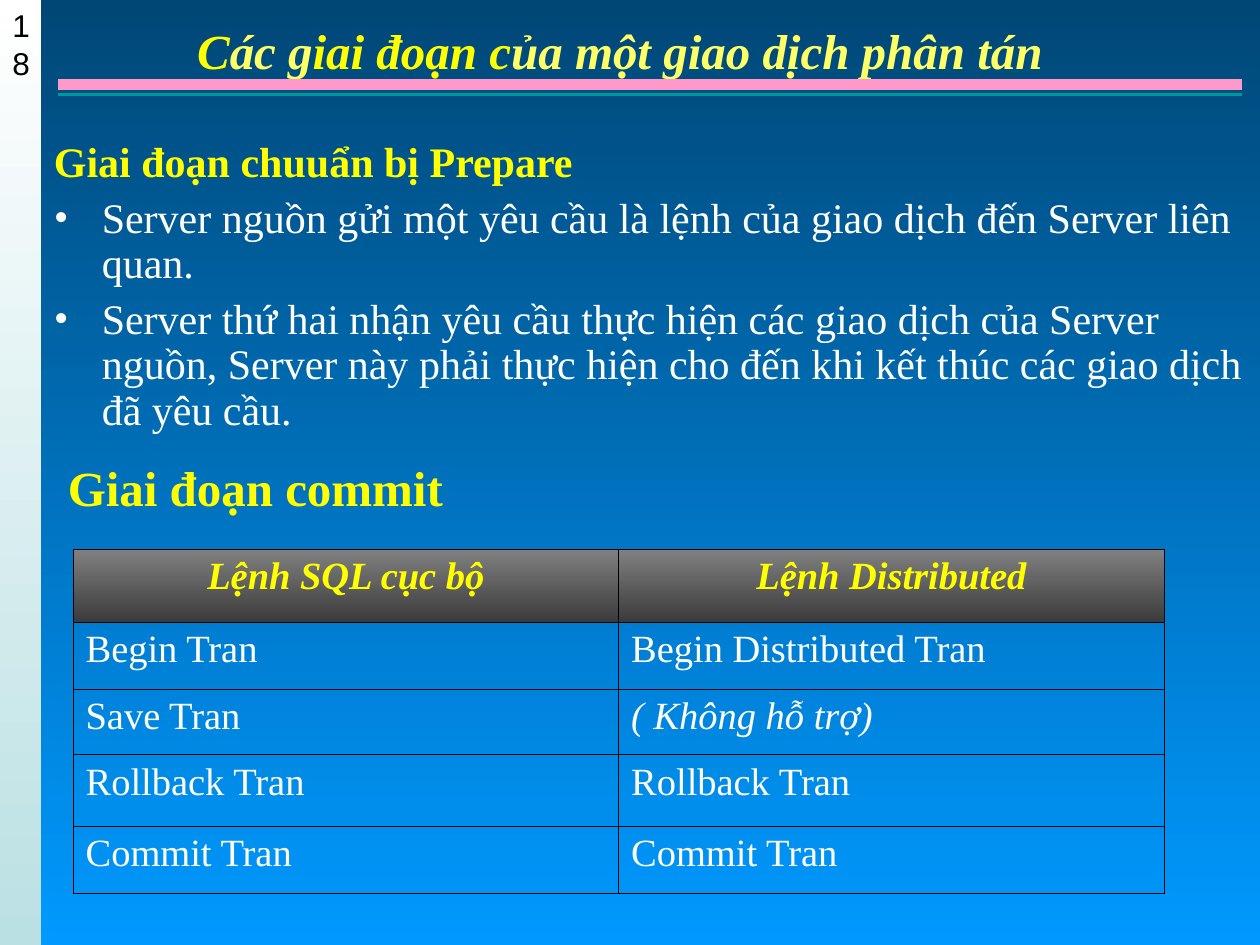
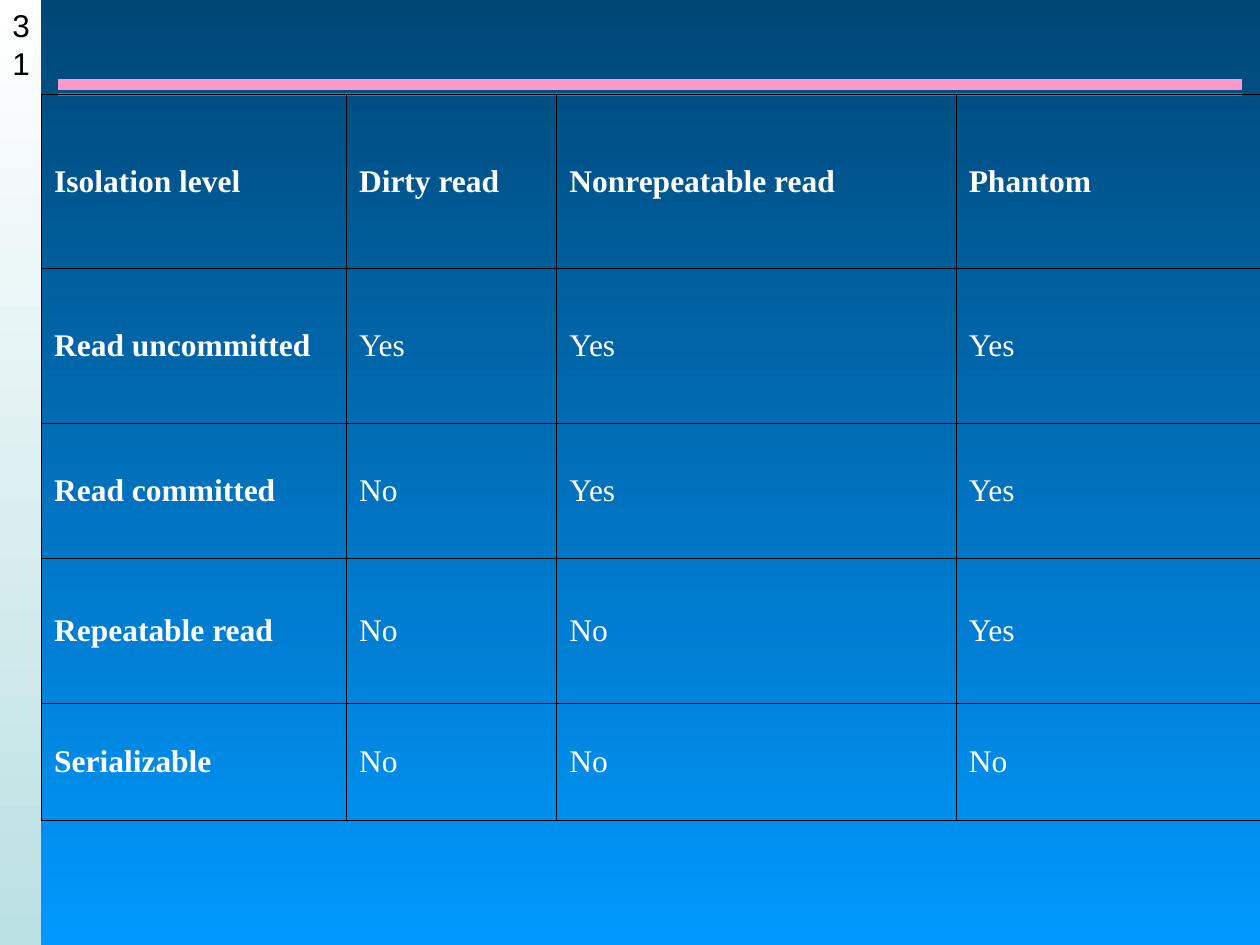
import lxml.etree
import pptx
import pptx.dml.color
import pptx.enum.shapes
import pptx.enum.text
import pptx.oxml.ns
import pptx.util

Inches = pptx.util.Inches
Pt = pptx.util.Pt
qn = pptx.oxml.ns.qn
ALIGN = pptx.enum.text.PP_ALIGN
ANCHOR = pptx.enum.text.MSO_ANCHOR

SERIF = "Times New Roman"
WHITE, BLACK = "FFFFFF", "000000"
YELLOW, PALE_YELLOW = "FFFF00", "FFFF66"
TEAL, PINK = "009999", "FF99CC"
BACKGROUND = ("004776", "0099FF")
STRIP = ("FFFFFF", "BBE0E3")
HEADER = ("808080", "3B3B3B")
TITLE_ONLY, BLANK = 5, 6


def rgb(color):
    return pptx.dml.color.RGBColor.from_string(color)


def set_font(font, size, color, bold=False, italic=False, name=SERIF):
    font.name, font.size = name, Pt(size)
    font.bold, font.italic = bold, italic
    font.color.rgb = rgb(color)


def fill_downward(fill, colors):
    """Fill with a gradient from the first colour at the top to the second."""
    fill.gradient()
    fill.gradient_angle = 270
    for stop, color in zip(fill.gradient_stops, colors):
        stop.color.rgb = rgb(color)


def add_rule(slide, y, color, width):
    rule = slide.shapes.add_connector(
        pptx.enum.shapes.MSO_CONNECTOR.STRAIGHT,
        Inches(0.46), Inches(y), Inches(9.86), Inches(y))
    rule.line.color.rgb = rgb(color)
    rule.line.width = Pt(width)
    lxml.etree.SubElement(rule._element.spPr, qn("a:effectLst"))


def add_number_strip(slide, number):
    strip = slide.shapes.add_shape(
        pptx.enum.shapes.MSO_SHAPE.RECTANGLE, 0, 0, Inches(0.33), Inches(7.5))
    strip.shadow.inherit = False
    strip.line.fill.background()
    fill_downward(strip.fill, STRIP)
    frame = strip.text_frame
    frame.word_wrap = True
    frame.vertical_anchor = ANCHOR.TOP
    paragraph = frame.paragraphs[0]
    paragraph.text = str(number)
    paragraph.alignment = ALIGN.LEFT
    set_font(paragraph.font, 18, BLACK, name="Arial")


def add_slide(presentation, layout, number):
    slide = presentation.slides.add_slide(presentation.slide_layouts[layout])
    add_number_strip(slide, number)
    add_rule(slide, 0.75, TEAL, 2)
    add_rule(slide, 0.67, PINK, 6)
    return slide


def set_title(slide, pieces):
    title = slide.shapes.title
    title.left, title.top = Inches(0.42), 0
    title.width, title.height = Inches(9), Inches(0.79)
    title.text_frame.vertical_anchor = ANCHOR.MIDDLE
    paragraph = title.text_frame.paragraphs[0]
    paragraph.alignment = ALIGN.CENTER
    for text, color in pieces:
        run = paragraph.add_run()
        run.text = text
        set_font(run.font, 28, color, bold=True, italic=True)


def add_text_box(slide, left, top, width, height):
    box = slide.shapes.add_textbox(
        Inches(left), Inches(top), Inches(width), Inches(height))
    box.text_frame.word_wrap = True
    return box.text_frame


def set_heading(paragraph, text, size):
    paragraph.text = text
    set_font(paragraph.font, size, YELLOW, bold=True)


def add_bullet(frame, text):
    paragraph = frame.add_paragraph()
    paragraph.text = text
    paragraph.line_spacing = 0.9
    paragraph.space_before = Pt(6)
    properties = paragraph._p.get_or_add_pPr()
    properties.set("marL", str(Inches(0.38)))
    properties.set("indent", str(-Inches(0.38)))
    lxml.etree.SubElement(properties, qn("a:buFont"), typeface=SERIF)
    lxml.etree.SubElement(properties, qn("a:buChar"), char="•")
    set_font(paragraph.font, 24, WHITE)


def set_borders(cell):
    properties = cell._tc.get_or_add_tcPr()
    for side in "LRTB":
        line = lxml.etree.SubElement(
            properties, qn(f"a:ln{side}"), w=str(Pt(0.45)))
        fill = lxml.etree.SubElement(line, qn("a:solidFill"))
        lxml.etree.SubElement(fill, qn("a:srgbClr"), val=BLACK)


def add_table(slide, left, top, widths, heights, rows, style_cell):
    """Add a clear table; style_cell(cell, row, column) formats each cell."""
    table = slide.shapes.add_table(
        len(heights), len(widths), Inches(left), Inches(top),
        Inches(sum(widths)), Inches(sum(heights))).table
    table.first_row = table.horz_banding = False
    for column, width in zip(table.columns, widths):
        column.width = Inches(width)
    for row, height in zip(table.rows, heights):
        row.height = Inches(height)
    for i, texts in enumerate(rows):
        for j, text in enumerate(texts):
            cell = table.cell(i, j)
            set_borders(cell)
            cell.fill.background()
            cell.text = text
            style_cell(cell, i, j)


def style_command(cell, row, column):
    paragraph = cell.text_frame.paragraphs[0]
    if row == 0:
        fill_downward(cell.fill, HEADER)
        paragraph.alignment = ALIGN.CENTER
        set_font(paragraph.font, 22, YELLOW, bold=True, italic=True)
    else:
        unsupported = cell.text.startswith("(")
        set_font(paragraph.font, 22, WHITE, italic=unsupported)


def style_isolation(cell, row, column):
    cell.vertical_anchor = ANCHOR.MIDDLE
    set_font(cell.text_frame.paragraphs[0].font, 18, WHITE,
             bold=row == 0 or column == 0)


def build_phases_slide(presentation):
    slide = add_slide(presentation, TITLE_ONLY, 18)
    set_title(slide, [
        ("C", YELLOW), ("ác g", PALE_YELLOW), ("iai đoạn c", YELLOW),
        ("ủa một giao dịch phân tán", PALE_YELLOW)])

    prepare = add_text_box(slide, 0.33, 0.83, 9.83, 2.75)
    set_heading(prepare.paragraphs[0], "Giai đoạn chuuẩn bị Prepare", 24)
    prepare.paragraphs[0].line_spacing = 1.5
    add_bullet(prepare, "Server nguồn gửi một yêu cầu là lệnh của giao dịch "
                        "đến Server liên quan.")
    add_bullet(prepare, "Server thứ hai nhận yêu cầu thực hiện các giao dịch "
                        "của Server nguồn, Server này phải thực hiện cho đến "
                        "khi kết thúc các giao dịch đã yêu cầu.")

    add_table(slide, 0.58, 4.36, [4.33] * 2, [0.58, 0.53, 0.52, 0.57, 0.53], [
        ("Lệnh SQL cục bộ", "Lệnh Distributed"),
        ("Begin Tran", "Begin Distributed Tran"),
        ("Save Tran", "( Không hỗ trợ)"),
        ("Rollback Tran", "Rollback Tran"),
        ("Commit Tran", "Commit Tran"),
    ], style_command)

    commit = add_text_box(slide, 0.44, 3.58, 4, 0.57)
    set_heading(commit.paragraphs[0], "Giai đoạn commit", 28)


def build_isolation_slide(presentation):
    slide = add_slide(presentation, BLANK, 31)
    add_table(slide, 0.33, 0.75, [2.42, 1.67, 3.17, 2.42],
              [1.38, 1.23, 1.07, 1.15, 0.93], [
        ("Isolation level", "Dirty read", "Nonrepeatable read", "Phantom"),
        ("Read uncommitted", "Yes", "Yes", "Yes"),
        ("Read committed", "No", "Yes", "Yes"),
        ("Repeatable read", "No", "No", "Yes"),
        ("Serializable", "No", "No", "No"),
    ], style_isolation)


def main():
    presentation = pptx.Presentation()
    presentation.slide_width = Inches(10)
    presentation.slide_height = Inches(7.5)
    fill_downward(presentation.slide_master.background.fill, BACKGROUND)
    build_phases_slide(presentation)
    build_isolation_slide(presentation)
    presentation.save("out.pptx")


if __name__ == "__main__":
    main()
